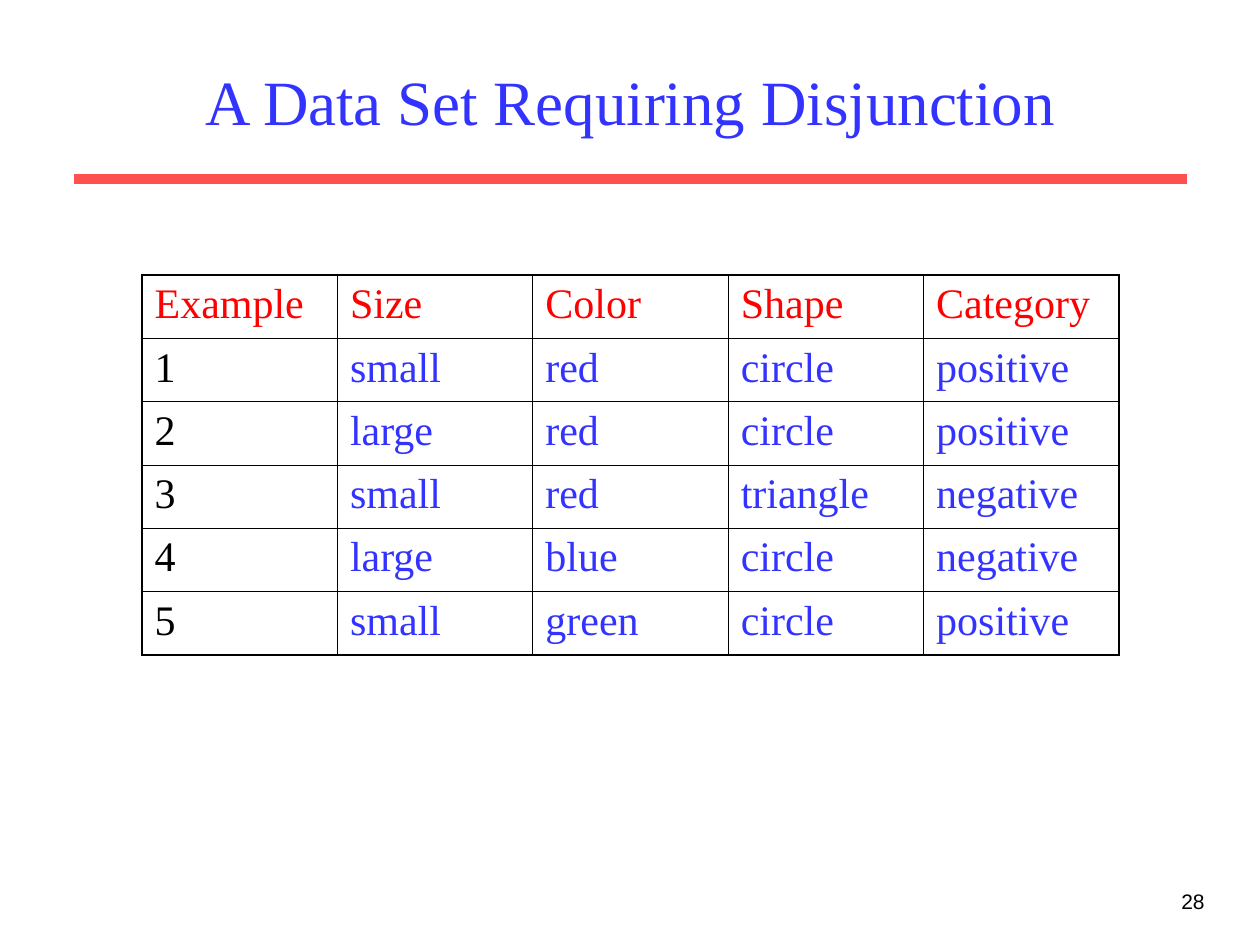
from lxml import etree
from pptx import Presentation
from pptx.dml.color import RGBColor
from pptx.enum.shapes import MSO_CONNECTOR
from pptx.enum.text import MSO_ANCHOR, PP_ALIGN
from pptx.oxml.ns import qn
from pptx.util import Emu, Pt

STRAIGHT = MSO_CONNECTOR.STRAIGHT
MIDDLE, TOP = MSO_ANCHOR.MIDDLE, MSO_ANCHOR.TOP
LEFT, CENTER, RIGHT = PP_ALIGN.LEFT, PP_ALIGN.CENTER, PP_ALIGN.RIGHT
SERIF, SANS = "Times New Roman", "Arial"
BLUE, RED, CORAL, BLACK, WHITE = "3333FF", "FF0000", "FF5050", "000000", "FFFFFF"
OUTER, INNER = 1.08, 0.45
EXAMPLES = [
    ["Example", "Size", "Color", "Shape", "Category"],
    ["1", "small", "red", "circle", "positive"],
    ["2", "large", "red", "circle", "positive"],
    ["3", "small", "red", "triangle", "negative"],
    ["4", "large", "blue", "circle", "negative"],
    ["5", "small", "green", "circle", "positive"],
]


def px(length):
    """Turn pixels at 126 to the inch into EMU."""
    return Emu(round(length * 914400 / 126))


def color(value):
    """Turn a hex string into a colour."""
    return RGBColor.from_string(value)


def write(frame, text, font, size, ink, align):
    """Write one formatted run into the first paragraph of a frame."""
    para = frame.paragraphs[0]
    para.alignment = align
    span = para.add_run()
    span.text = text
    span.font.name = font
    span.font.size = Pt(size)
    span.font.color.rgb = color(ink)


def add_title(page, text):
    """Place and fill the title placeholder."""
    title = page.shapes.title
    title.left, title.top, title.width, title.height = map(px, (95, 32, 1071, 136))
    title.text_frame.vertical_anchor = MIDDLE
    write(title.text_frame, text, SERIF, 36, BLUE, CENTER)


def add_rule(page):
    """Draw the thick rule below the title."""
    rule = page.shapes.add_connector(STRAIGHT, px(74), px(179), px(1187), px(179))
    rule.line.color.rgb = color(CORAL)
    rule.line.width = Pt(6)
    etree.SubElement(rule.element.spPr, qn("a:effectLst"))


def add_page_number(page, number):
    """Put the page number in the lower right corner."""
    box = page.shapes.add_textbox(px(955), px(882), px(262), px(63))
    box.text_frame.word_wrap = True
    write(box.text_frame, number, SANS, 12, BLACK, RIGHT)


def set_border(cell, side, width):
    """Draw one black border of a cell, with side as L, R, T or B."""
    border = etree.SubElement(
        cell._tc.get_or_add_tcPr(), qn(f"a:ln{side}"), w=str(Pt(width))
    )
    fill = etree.SubElement(border, qn("a:solidFill"))
    etree.SubElement(fill, qn("a:srgbClr"), val=BLACK)


def add_examples(page, rows):
    """Add the table of examples, with a heavier outer frame."""
    last_row, last_column = len(rows) - 1, len(rows[0]) - 1
    table = page.shapes.add_table(
        len(rows), len(rows[0]), px(142), px(275), px(977), px(380)
    ).table
    table.first_row = table.horz_banding = False
    for row, values in enumerate(rows):
        for column, text in enumerate(values):
            cell = table.cell(row, column)
            edges = {
                "L": column == 0,
                "R": column == last_column,
                "T": row == 0,
                "B": row == last_row,
            }
            for side, is_outer in edges.items():
                set_border(cell, side, OUTER if is_outer else INNER)
            cell.fill.background()
            cell.vertical_anchor = TOP
            ink = RED if row == 0 else BLACK if column == 0 else BLUE
            write(cell.text_frame, text, SERIF, 24, ink, LEFT)


def main():
    """Build and save the slide."""
    deck = Presentation()
    deck.slide_width, deck.slide_height = px(1260), px(945)
    page = deck.slides.add_slide(deck.slide_layouts[5])
    page.background.fill.solid()
    page.background.fill.fore_color.rgb = color(WHITE)
    add_rule(page)
    add_title(page, "A Data Set Requiring Disjunction")
    add_page_number(page, "28")
    add_examples(page, EXAMPLES)
    deck.save("out.pptx")


if __name__ == "__main__":
    main()
